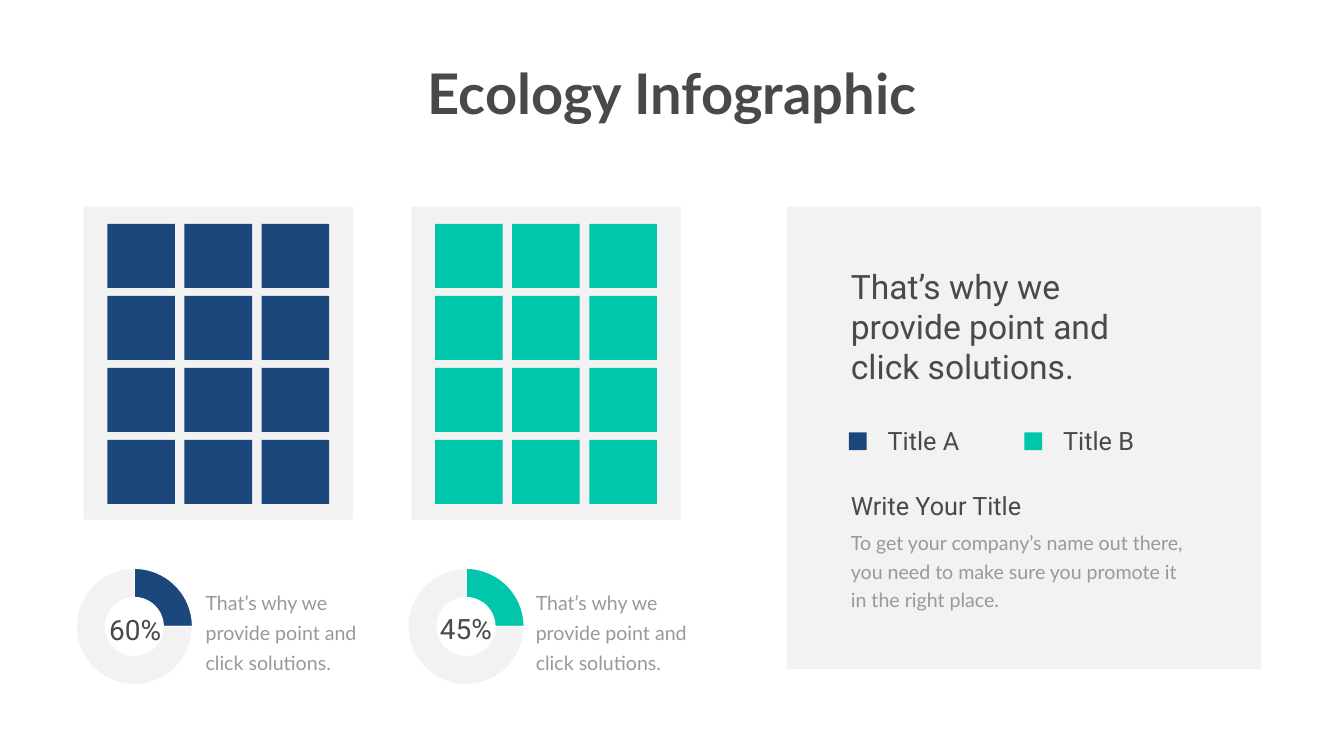
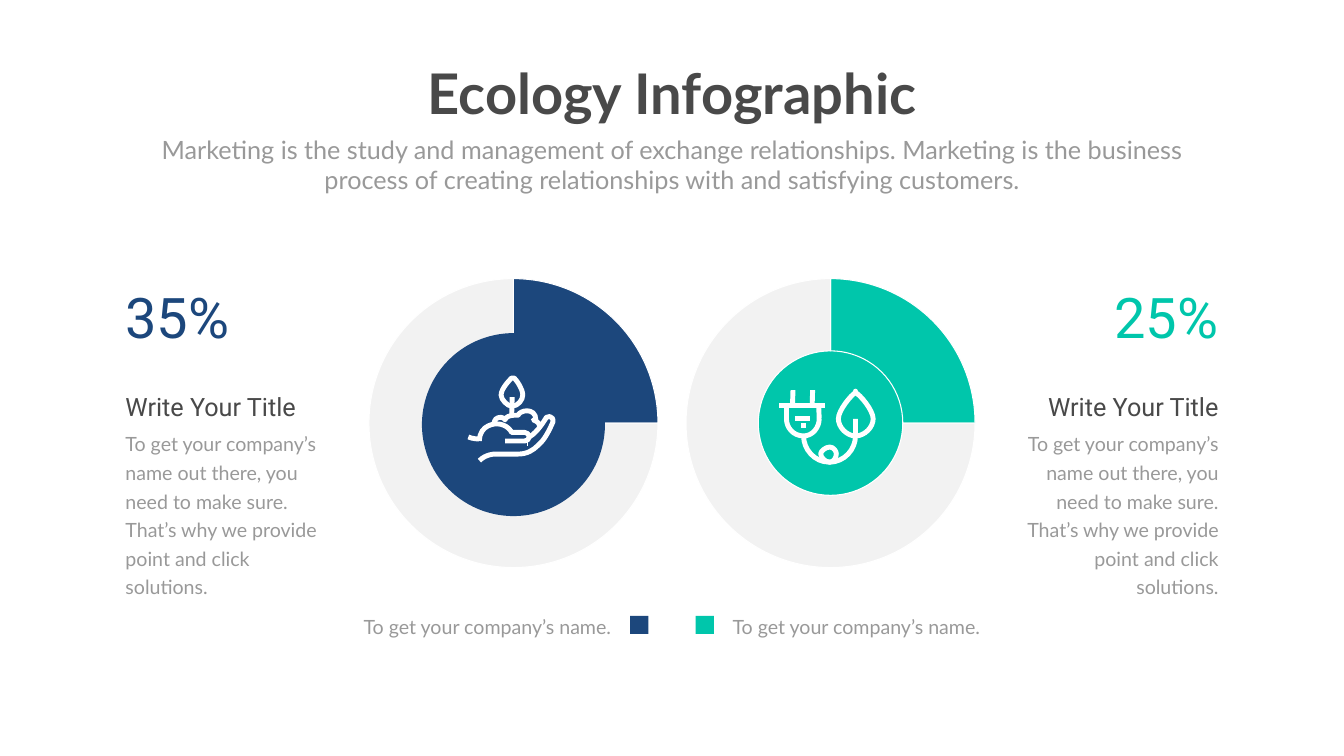
import pptx
import pptx.chart.data
import pptx.dml.color
import pptx.enum.chart
import pptx.enum.shapes
import pptx.enum.text
import pptx.oxml
import pptx.oxml.ns
import pptx.util

Inches = pptx.util.Inches
Pt = pptx.util.Pt
RGBColor = pptx.dml.color.RGBColor
SHAPE = pptx.enum.shapes.MSO_SHAPE
LEFT = pptx.enum.text.PP_ALIGN.LEFT
CENTER = pptx.enum.text.PP_ALIGN.CENTER
RIGHT = pptx.enum.text.PP_ALIGN.RIGHT

NAVY = RGBColor(0x1C, 0x47, 0x7C)
TEAL = RGBColor(0x00, 0xC6, 0xAB)
DARK = RGBColor(0x49, 0x49, 0x49)
GRAY = RGBColor(0x99, 0x99, 0x99)
PANEL = RGBColor(0x80, 0x80, 0x80)
TRACK = RGBColor(0xF2, 0xF2, 0xF2)
WHITE = RGBColor(0xFF, 0xFF, 0xFF)

# font, size, colour, line spacing in points
TITLE = ("Lato", 80, DARK, None)
SUBTITLE = ("Lato", 36, GRAY, None)
BODY = ("Lato", 28, GRAY, 40.8)
CAPTION = ("Lato", 28, GRAY, 43)
HEADING = ("Roboto", 36, DARK, None)
LEAD = ("Roboto", 48, DARK, None)
RING_VALUE = ("Roboto", 40, DARK, None)

DECK_TITLE = "Ecology Infographic"
HEADING_TEXT = "Write Your Title"
SOLUTIONS = "That’s why we provide point and click solutions."
RING_VALUES = (25, 75)

# Slide 1: colour, panel left, ring left, value text and box, caption box
TILE_PANELS = [
    (NAVY, 1.66, 1.29, "60%", (1.89, 12.1, 1.58, 0.72), (3.98, 11.55, 3.33, 1.84)),
    (TEAL, 8.16, 7.87, "45%", (8.45, 12.08, 1.58, 0.72), (10.53, 11.55, 3.77, 1.84)),
]
TILE_COLUMNS, TILE_ROWS = 3, 4
TILE_SIZE = (1.34, 1.27)
TILE_PITCH = (1.53, 1.43)
TILE_MARGIN = (0.47, 0.34)
PANEL_TOP = 4.1
LEGEND = [("Title A", NAVY, 16.84), ("Title B", TEAL, 20.32)]
PROMOTE = ("To get your company’s name out there, you need to make sure "
           "you promote it in the right place.")

# Slide 2
MARKETING = ("Marketing is the study and management of exchange relationships. "
             "Marketing is the business process of creating relationships with "
             "and satisfying customers.")
COMPANY = "To get your company’s name."
DETAIL = "To get your company’s name out there, you need to make sure. " + SOLUTIONS
# value, colour, alignment, value left, text left, legend text left, legend marker left
SIDES = [
    ("35%", NAVY, LEFT, 2.39, 2.39, 6.57, 12.5),
    ("25%", TEAL, RIGHT, 21.76, 19.92, 14.29, 13.8),
]

# Each curve is a start point followed by segments: 2 numbers for a line, 6 for a Bézier.
PLUG_CURVES = [
    [(16.97, 7.79), (16.97, 7.75, 16.97, 7.75, 16.97, 7.79),
     (16.89, 7.83, 16.63, 8.14, 16.63, 8.31), (16.63, 8.48, 16.8, 8.65, 16.97, 8.65),
     (17.15, 8.65, 17.32, 8.48, 17.32, 8.31), (17.32, 8.14, 17.06, 7.83, 16.97, 7.79)],
    [(16.25, 8.31), (16.25, 8.48, 16.12, 8.65, 15.94, 8.65),
     (15.73, 8.65, 15.6, 8.48, 15.6, 8.31)],
    [(15.94, 8.65), (15.94, 8.91, 16.15, 9.17, 16.45, 9.17),
     (16.76, 9.17, 16.97, 8.91, 16.97, 8.65), (16.97, 8.31)],
    [(16.59, 9), (16.59, 9.08, 16.54, 9.17, 16.46, 9.17),
     (16.37, 9.17, 16.28, 9.08, 16.28, 9), (16.28, 8.96, 16.37, 8.87, 16.46, 8.87),
     (16.54, 8.87, 16.59, 8.96, 16.59, 9)],
]
PLUG_LINES = [
    (16.24, 8.05, 16.25, 8.31), (15.6, 8.31, 15.6, 8.04), (15.46, 8.05, 16.37, 8.05),
    (15.72, 8.05, 15.73, 7.74), (16.11, 8.05, 16.12, 7.74), (15.77, 8.31, 16.07, 8.31),
    (15.89, 8.44, 15.98, 8.44),
]
HAND_CURVES = [
    [(10.46, 8.8), (10.47, 8.8)],
    [(10.02, 8.75), (10.41, 8.75), (10.45, 8.75, 10.5, 8.71, 10.5, 8.67),
     (10.5, 8.62, 10.45, 8.58, 10.41, 8.58), (10.15, 8.58),
     (10.15, 8.58, 10.07, 8.41, 9.85, 8.41), (9.85, 8.41, 9.51, 8.41, 9.51, 8.75)],
    [(10.5, 8.67), (10.67, 8.58, 10.84, 8.28, 10.84, 8.28),
     (10.89, 8.28, 10.93, 8.24, 10.93, 8.28), (10.97, 8.28, 10.97, 8.32, 10.97, 8.37),
     (10.84, 8.67, 10.76, 8.76, 10.67, 8.84), (10.58, 8.93, 10.46, 9.01, 10.28, 9.01),
     (9.81, 9.01), (9.81, 9.01, 9.64, 9.01, 9.51, 9.14)],
    [(9.5, 8.71), (9.5, 8.71, 9.37, 8.71, 9.29, 8.67)],
    [(10.2, 7.5), (10.15, 7.5), (10.11, 7.54, 9.94, 7.71, 9.94, 7.84),
     (9.94, 7.93, 10.07, 8.06, 10.15, 8.06), (10.28, 8.06, 10.37, 7.93, 10.37, 7.84),
     (10.37, 7.71, 10.24, 7.54, 10.2, 7.5)],
    [(10.71, 8.46), (10.71, 8.41, 10.67, 8.37, 10.58, 8.33), (10.63, 8.33),
     (10.63, 8.2, 10.54, 8.15, 10.45, 8.15), (10.37, 8.15, 10.28, 8.2, 10.28, 8.24),
     (10.24, 8.24, 10.24, 8.24, 10.19, 8.24), (10.11, 8.24, 10.02, 8.28, 10.02, 8.33),
     (9.98, 8.28, 9.93, 8.28, 9.93, 8.28), (9.85, 8.28, 9.8, 8.33, 9.8, 8.41)],
]
HAND_LINES = [(10.15, 8.24, 10.16, 7.88)]


def inches(values):
    return [Inches(value) for value in values]


def add_text(slide, box, text, style, align=LEFT, bold=False, wrap=True, insets=(0.1, 0.05)):
    font_name, size, color, spacing = style
    frame = slide.shapes.add_textbox(*inches(box)).text_frame
    frame.text = text
    frame.word_wrap = wrap
    frame.auto_size = pptx.enum.text.MSO_AUTO_SIZE.SHAPE_TO_FIT_TEXT
    frame.margin_left = frame.margin_right = Inches(insets[0])
    frame.margin_top = frame.margin_bottom = Inches(insets[1])
    paragraph = frame.paragraphs[0]
    paragraph.alignment = align
    if spacing:
        paragraph.line_spacing = Pt(spacing)
    font = paragraph.runs[0].font
    font.name, font.size, font.bold = font_name, Pt(size), bold
    font.color.rgb = color


def add_block(slide, box, color, kind=SHAPE.RECTANGLE):
    shape = slide.shapes.add_shape(kind, *inches(box))
    shape.shadow.inherit = False
    shape.fill.solid()
    shape.fill.fore_color.rgb = color
    shape.line.fill.background()
    return shape


def add_panel(slide, box):
    """Draw a gray rectangle at 10 % opacity."""
    panel = add_block(slide, box, PANEL)
    color = panel.element.spPr.find(".//" + pptx.oxml.ns.qn("a:srgbClr"))
    alpha = pptx.oxml.parse_xml('<a:alpha %s val="10000"/>' % pptx.oxml.ns.nsdecls("a"))
    color.append(alpha)


def add_ring(slide, box, color, hole):
    data = pptx.chart.data.CategoryChartData()
    data.categories = ["1", "2"]
    data.add_series("Series 1", RING_VALUES)
    chart = slide.shapes.add_chart(
        pptx.enum.chart.XL_CHART_TYPE.DOUGHNUT, *inches(box), data).chart
    chart.has_legend = chart.has_title = False
    chart.font.name, chart.font.size = "Calibri", Pt(10)
    chart.font.color.rgb = GRAY
    plot = chart.plots[0]
    plot.vary_by_categories = True
    for index, fill_color in enumerate((color, TRACK)):
        point_format = plot.series[0].points[index].format
        point_format.fill.solid()
        point_format.fill.fore_color.rgb = fill_color
        point_format.line.color.rgb = WHITE
        point_format.line.width = Pt(1.5)
    for hole_size in chart.element.iter(pptx.oxml.ns.qn("c:holeSize")):
        hole_size.set("val", str(hole))


def set_stroke(shape):
    shape.line.color.rgb = WHITE
    shape.line.width = Pt(7)


def bend_segments(outline, segments):
    """Turn the straight segments that have control points into cubic Béziers."""
    straight_lines = list(outline.element.iter(pptx.oxml.ns.qn("a:lnTo")))
    for straight_line, segment in zip(straight_lines, segments):
        if len(segment) == 2:
            continue
        numbers = inches(segment)
        points = "".join(
            '<a:pt x="%d" y="%d"/>' % (x - outline.left, y - outline.top)
            for x, y in zip(numbers[::2], numbers[1::2]))
        curve = pptx.oxml.parse_xml("<a:cubicBezTo %s>%s</a:cubicBezTo>" % (
            pptx.oxml.ns.nsdecls("a"), points))
        straight_line.getparent().replace(straight_line, curve)


def add_icon(slide, curves, lines):
    for start, *segments in curves:
        builder = slide.shapes.build_freeform(*inches(start), scale=1.0)
        builder.add_line_segments([inches(segment[-2:]) for segment in segments], close=False)
        outline = builder.convert_to_shape()
        bend_segments(outline, segments)
        outline.shadow.inherit = False
        outline.fill.background()
        set_stroke(outline)
    for ends in lines:
        connector = slide.shapes.add_connector(
            pptx.enum.shapes.MSO_CONNECTOR.STRAIGHT, *inches(ends))
        set_stroke(connector)
        connector.element.spPr.append(
            pptx.oxml.parse_xml("<a:effectLst %s/>" % pptx.oxml.ns.nsdecls("a")))


def add_titled_slide(presentation):
    slide = presentation.slides.add_slide(presentation.slide_layouts[6])
    add_text(slide, (8.28, 1.12, 10.11, 1.45), DECK_TITLE, TITLE, CENTER,
             bold=True, wrap=False)
    return slide


def build_tiles_slide(presentation):
    slide = add_titled_slide(presentation)
    for color, panel_left, ring_left, value, value_box, caption_box in TILE_PANELS:
        add_ring(slide, (ring_left, 11.14, 2.75, 2.58), color, 75)
        add_text(slide, caption_box, SOLUTIONS, CAPTION)
        add_text(slide, value_box, value, RING_VALUE, CENTER)
        add_panel(slide, (panel_left, PANEL_TOP, 5.34, 6.21))
        for row in range(TILE_ROWS):
            for column in range(TILE_COLUMNS):
                left = panel_left + TILE_MARGIN[0] + column * TILE_PITCH[0]
                top = PANEL_TOP + TILE_MARGIN[1] + row * TILE_PITCH[1]
                add_block(slide, (left, top, *TILE_SIZE), color)

    add_panel(slide, (15.61, PANEL_TOP, 9.4, 9.17))
    add_text(slide, (16.78, 5.22, 6.14, 2.52), SOLUTIONS, LEAD)
    for label, color, left in LEGEND:
        add_block(slide, (left, 8.58, 0.35, 0.35), color)
        add_text(slide, (left + 0.67, 8.39, 2.48, 0.71), label, HEADING)
    add_text(slide, (16.78, 9.68, 5.73, 0.71), HEADING_TEXT, HEADING)
    add_text(slide, (16.78, 10.39, 7.04, 1.77), PROMOTE, BODY)


def build_rings_slide(presentation):
    slide = add_titled_slide(presentation)
    add_text(slide, (2.92, 2.61, 20.82, 1.31), MARKETING, SUBTITLE, CENTER)
    for value, color, align, value_left, text_left, legend_left, marker_left in SIDES:
        add_text(slide, (value_left, 5.55, 2.51, 1.45), value,
                 ("Roboto", 80, color, None), align)
        add_text(slide, (text_left, 7.72, 4.35, 0.71), HEADING_TEXT, HEADING, align)
        add_text(slide, (text_left, 8.43, 4.35, 2.92), DETAIL, BODY, align)
        legend_align = RIGHT if align == LEFT else LEFT
        add_text(slide, (legend_left, 11.98, 5.79, 0.75), COMPANY, BODY, legend_align,
                 insets=(0.24, 0.12))
        add_block(slide, (marker_left, 12.22, 0.36, 0.36), color)

    # The navy disc covers its ring; the teal ring covers its disc.
    add_ring(slide, (6.98, 5.39, 6.41, 6.01), NAVY, 85)
    add_block(slide, (8.37, 6.61, 3.63, 3.63), NAVY, SHAPE.OVAL)
    add_icon(slide, HAND_CURVES, HAND_LINES)
    add_block(slide, (14.66, 6.61, 3.63, 3.63), TEAL, SHAPE.OVAL)
    add_icon(slide, PLUG_CURVES, PLUG_LINES)
    add_ring(slide, (13.27, 5.39, 6.41, 6.01), TEAL, 85)


def main():
    presentation = pptx.Presentation()
    presentation.slide_width = Inches(26.66)
    presentation.slide_height = Inches(15)
    build_tiles_slide(presentation)
    build_rings_slide(presentation)
    presentation.save("out.pptx")


if __name__ == "__main__":
    main()
